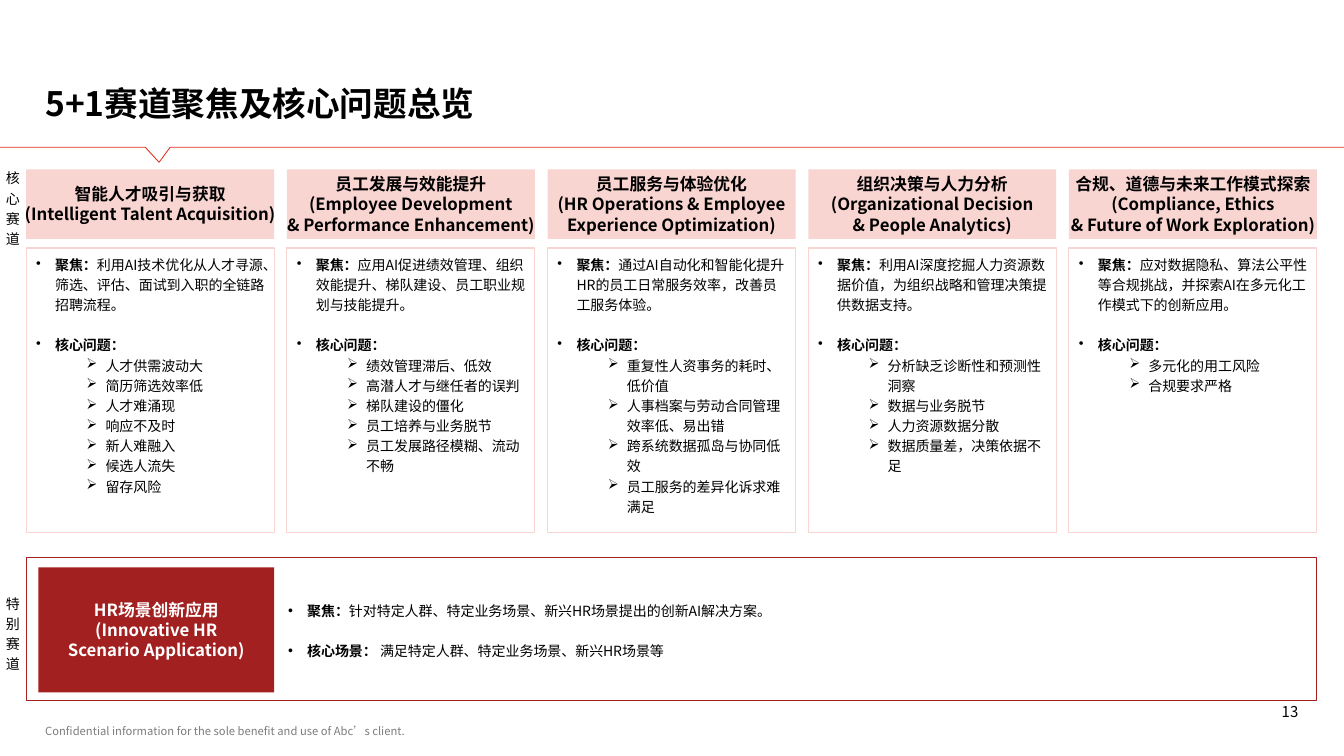
from lxml.etree import SubElement
from pptx import Presentation
from pptx.dml.color import RGBColor
from pptx.enum.shapes import MSO_SHAPE
from pptx.enum.text import MSO_ANCHOR, MSO_AUTO_SIZE, PP_ALIGN
from pptx.oxml.ns import qn
from pptx.util import Cm, Pt

BLACK = RGBColor(0x00, 0x00, 0x00)
WHITE = RGBColor(0xFF, 0xFF, 0xFF)
GREY = RGBColor(0x7C, 0x7C, 0x7B)
PINK = RGBColor(0xF9, 0xD5, 0xD2)
RED = RGBColor(0xE1, 0x30, 0x1E)
DARK_RED = RGBColor(0xA3, 0x20, 0x20)

# Track: heading lines, focus, core problems
TRACKS = [
    (["智能人才吸引与获取", "(Intelligent Talent Acquisition)"],
     "利用AI技术优化从人才寻源、筛选、评估、面试到入职的全链路招聘流程。",
     ["人才供需波动大", "简历筛选效率低", "人才难涌现", "响应不及时",
      "新人难融入", "候选人流失", "留存风险"]),
    (["员工发展与效能提升", "(Employee Development", "& Performance Enhancement)"],
     "应用AI促进绩效管理、组织效能提升、梯队建设、员工职业规划与技能提升。",
     ["绩效管理滞后、低效", "高潜人才与继任者的误判", "梯队建设的僵化",
      "员工培养与业务脱节", "员工发展路径模糊、流动不畅"]),
    (["员工服务与体验优化", "(HR Operations & Employee", "Experience Optimization)"],
     "通过AI自动化和智能化提升HR的员工日常服务效率，改善员工服务体验。",
     ["重复性人资事务的耗时、低价值", "人事档案与劳动合同管理效率低、易出错",
      "跨系统数据孤岛与协同低效", "员工服务的差异化诉求难满足"]),
    (["组织决策与人力分析", "(Organizational Decision", "& People Analytics)"],
     "利用AI深度挖掘人力资源数据价值，为组织战略和管理决策提供数据支持。",
     ["分析缺乏诊断性和预测性洞察", "数据与业务脱节", "人力资源数据分散",
      "数据质量差，决策依据不足"]),
    (["合规、道德与未来工作模式探索", "(Compliance, Ethics", "& Future of Work Exploration)"],
     "应对数据隐私、算法公平性等合规挑战，并探索AI在多元化工作模式下的创新应用。",
     ["多元化的用工风险", "合规要求严格"]),
]


def apply(target, fmt):
    for name, value in fmt.items():
        setattr(target, name, value)


class Deck:
    font = "Noto Sans CJK SC"
    line_pitch = Pt(14.4)
    hanging = Cm(0.48)

    def __init__(self):
        self.prs = Presentation()
        apply(self.prs, {"slide_width": Cm(33.87), "slide_height": Cm(19.05)})
        self.s = self.prs.slides.add_slide(self.prs.slide_layouts[1])

    def place(self, sp, left, top, width, height):
        apply(sp, {"left": Cm(left), "top": Cm(top),
                   "width": Cm(width), "height": Cm(height)})
        return sp

    def paint(self, sp, fill=None, line=None):
        if fill is None:
            sp.fill.background()
        else:
            sp.fill.solid()
            sp.fill.fore_color.rgb = fill
        if line is None:
            sp.line.fill.background()
        else:
            sp.line.color.rgb = line
            sp.line.width = Pt(0.75)

    def rect(self, box, fill=None, line=None):
        sp = self.s.shapes.add_shape(MSO_SHAPE.RECTANGLE, *map(Cm, box))
        sp.shadow.inherit = False
        self.paint(sp, fill, line)
        return sp

    def frame(self, sp, **fmt):
        tf = sp.text_frame
        apply(tf, {"auto_size": MSO_AUTO_SIZE.NONE, "word_wrap": True,
                   "vertical_anchor": MSO_ANCHOR.TOP, **fmt})
        return tf

    def para(self, tf, *runs, first=False, size=10, color=BLACK, bullet=None,
             indent=0, **fmt):
        """Each run is a (text, bold) pair."""
        p = tf.paragraphs[0] if first else tf.add_paragraph()
        pPr = p._p.get_or_add_pPr()
        pPr.set("marL", str(Cm(indent)))
        pPr.set("indent", str(-self.hanging if bullet else 0))
        if bullet:
            SubElement(pPr, qn("a:buChar")).set("char", bullet)
        else:
            SubElement(pPr, qn("a:buNone"))
        apply(p, {"alignment": PP_ALIGN.LEFT, "line_spacing": self.line_pitch,
                  "space_before": Pt(0), **fmt})
        for text, bold in runs:
            r = p.add_run()
            r.text = text
            apply(r.font, {"name": self.font, "size": Pt(size), "bold": bold})
            r.font.color.rgb = color
            SubElement(r._r.get_or_add_rPr(), qn("a:ea")).set("typeface", self.font)

    def title(self, text, box):
        sp = self.place(self.s.shapes.title, *box)
        tf = self.frame(sp, vertical_anchor=MSO_ANCHOR.BOTTOM, margin_left=0,
                        margin_right=0, margin_top=0, margin_bottom=0)
        self.para(tf, (text, True), first=True, size=24, line_spacing=Pt(28.8))

    def rule(self, points):
        (x, y), *rest = [(Cm(px), Cm(py)) for px, py in points]
        builder = self.s.shapes.build_freeform(x, y)
        builder.add_line_segments(rest, close=False)
        sp = builder.convert_to_shape()
        sp.shadow.inherit = False
        self.paint(sp, line=RED)
        sp.line.width = Pt(0.63)

    def text(self, text, box, size=10, left=0, **fmt):
        sp = self.s.shapes.add_textbox(*map(Cm, box))
        tf = self.frame(sp, margin_left=Cm(left), margin_right=0,
                        vertical_anchor=MSO_ANCHOR.MIDDLE)
        self.para(tf, (text, False), first=True, size=size, **fmt)

    def heading(self, lines, box, fill, color):
        tf = self.frame(self.rect(box, fill), word_wrap=False, margin_left=0,
                        margin_right=0, vertical_anchor=MSO_ANCHOR.MIDDLE)
        for i, line in enumerate(lines):
            self.para(tf, (line, True), first=i == 0, size=12, color=color,
                      alignment=PP_ALIGN.CENTER)

    def focus_list(self, tf, focus, label, detail=None, problems=()):
        fmt = {"bullet": "•", "indent": 0.48}
        self.para(tf, ("聚焦：", True), (focus, False), first=True, **fmt)
        runs = [(label, True)] + ([(detail, False)] if detail else [])
        self.para(tf, *runs, space_before=self.line_pitch, **fmt)
        for problem in problems:
            self.para(tf, (problem, False), bullet="➢", indent=1.75, level=1)

    def special_list(self, box, *content):
        sp = self.place(self.s.placeholders[1], *box)
        self.paint(sp, line=DARK_RED)
        tf = self.frame(sp, margin_left=Cm(6.6), vertical_anchor=MSO_ANCHOR.MIDDLE)
        self.focus_list(tf, *content)


def main():
    deck = Deck()

    # Title and divider
    deck.title("5+1赛道聚焦及核心问题总览", (1.14, 2.08, 31.57, 1.02))
    deck.rule([(33.87, 3.71), (4.29, 3.71), (4.01, 4.09), (3.66, 3.71), (0, 3.71)])

    # Five core tracks
    left, pitch, width = 0.66, 6.57, 6.25
    for i, (lines, focus, problems) in enumerate(TRACKS):
        x = left + i * pitch
        card = deck.rect((x, 6.25, width, 7.16), WHITE, PINK)
        deck.focus_list(deck.frame(card), focus, "核心问题：", problems=problems)
        deck.heading(lines, (x, 4.27, width, 1.75), PINK, BLACK)

    # Special track
    deck.special_list((left, 14.05, 32.53, 3.61),
                      "针对特定人群、特定业务场景、新兴HR场景提出的创新AI解决方案。",
                      "核心场景： ", "满足特定人群、特定业务场景、新兴HR场景等")
    deck.heading(["HR场景创新应用", "(Innovative HR", "Scenario Application)"],
                 (0.97, 14.3, 5.94, 3.15), DARK_RED, WHITE)

    # Side labels
    for label, top in (("核心赛道", 4.07), ("特别赛道", 14.79)):
        deck.text(label, (0, top, 0.54, 2.29), left=0.15)

    # Footer
    deck.text("Confidential information for the sole benefit and use of Abc’s client.",
              (1.14, 18.16, 10.72, 0.33), size=8, color=GREY)
    deck.text("13", (24.82, 17.68, 7.9, 0.46), size=10.7, alignment=PP_ALIGN.RIGHT)

    deck.prs.save("out.pptx")


if __name__ == "__main__":
    main()
